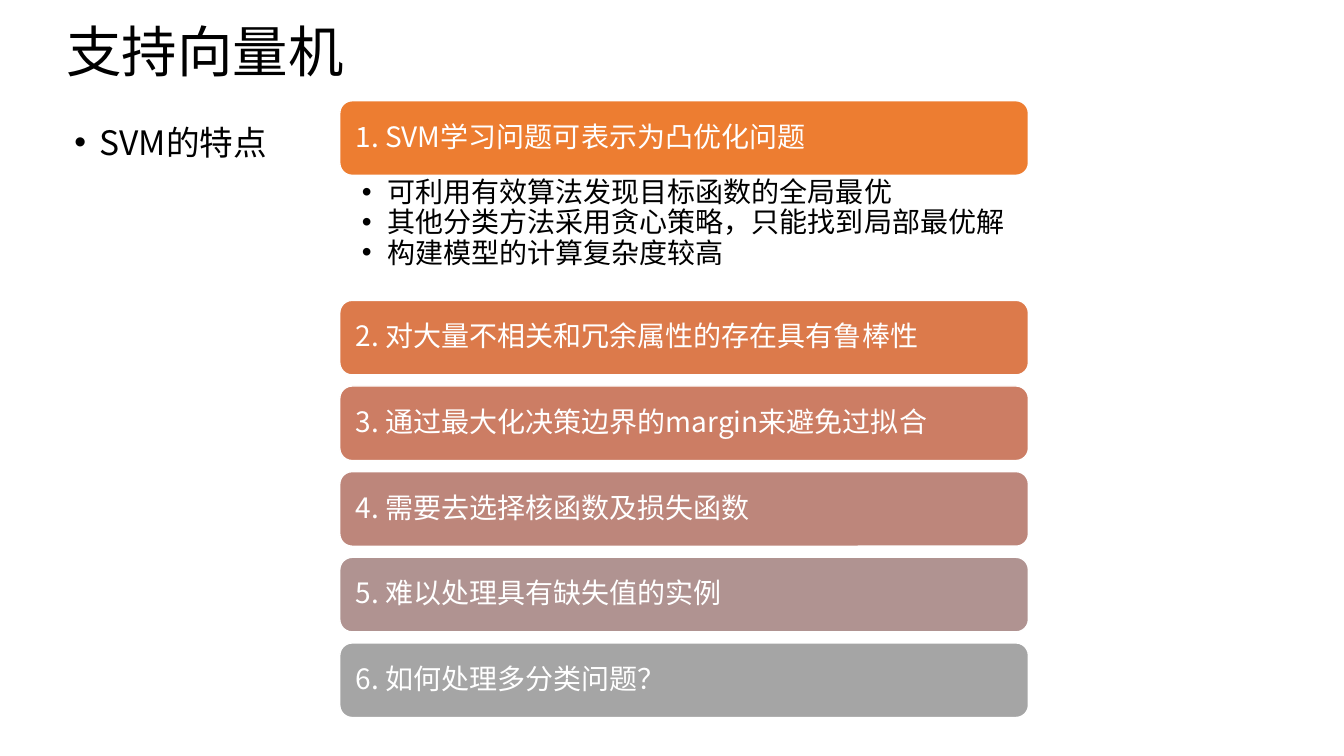
from dataclasses import dataclass

from lxml.etree import SubElement
from pptx import Presentation
from pptx.dml.color import RGBColor
from pptx.enum.shapes import MSO_SHAPE
from pptx.enum.text import MSO_ANCHOR, PP_ALIGN
from pptx.oxml.ns import qn
from pptx.slide import Slide
from pptx.text.text import TextFrame, _Paragraph
from pptx.util import Emu, Inches, Pt

SLIDE_WIDTH, SLIDE_HEIGHT = Inches(13.33), Inches(7.5)
FONT = "Noto Sans CJK SC"
BLACK = RGBColor(0x00, 0x00, 0x00)
WHITE = RGBColor(0xFF, 0xFF, 0xFF)
ORANGE = RGBColor(0xED, 0x7D, 0x31)
RUST = RGBColor(0xDC, 0x7A, 0x4B)
CORAL = RGBColor(0xCC, 0x7D, 0x64)
CLAY = RGBColor(0xBD, 0x86, 0x7B)
MAUVE = RGBColor(0xB0, 0x93, 0x91)
GREY = RGBColor(0xA5, 0xA5, 0xA5)

FEATURE_LEFT, FEATURE_WIDTH = 25.28, 51.24
FIRST_TOP, BAR_HEIGHT, BAR_STEP, DETAIL_HEIGHT = 13.33, 9.87, 11.33, 16.53


@dataclass(frozen=True)
class Area:
    left: float
    top: float
    width: float
    height: float

    def box(self) -> tuple[Emu, Emu, Emu, Emu]:
        return (
            Emu(round(SLIDE_WIDTH * self.left / 100)),
            Emu(round(SLIDE_HEIGHT * self.top / 100)),
            Emu(round(SLIDE_WIDTH * self.width / 100)),
            Emu(round(SLIDE_HEIGHT * self.height / 100)),
        )


@dataclass(frozen=True)
class TextStyle:
    size: float
    color: RGBColor
    line_spacing: float = 0.9
    space_before: float = 0
    bulleted: bool = False
    anchor: MSO_ANCHOR = MSO_ANCHOR.TOP
    insets: tuple[float, float, float, float] = (0.1, 0.05, 0.1, 0.05)


@dataclass(frozen=True)
class Feature:
    heading: str
    fill: RGBColor
    details: tuple[str, ...] = ()


TITLE = TextStyle(39.6, BLACK, anchor=MSO_ANCHOR.MIDDLE)
TOPIC = TextStyle(24, BLACK, line_spacing=1.5, space_before=10, bulleted=True)
HEADING = TextStyle(20, WHITE, anchor=MSO_ANCHOR.MIDDLE, insets=(0.12,) * 4)
DETAIL = TextStyle(20, BLACK, bulleted=True, insets=(0.22, 0.03, 0.16, 0.03))

FEATURES = (
    Feature(
        "1. SVM学习问题可表示为凸优化问题",
        ORANGE,
        (
            "可利用有效算法发现目标函数的全局最优",
            "其他分类方法采用贪心策略，只能找到局部最优解",
            "构建模型的计算复杂度较高",
        ),
    ),
    Feature("2. 对大量不相关和冗余属性的存在具有鲁棒性", RUST),
    Feature("3. 通过最大化决策边界的margin来避免过拟合", CORAL),
    Feature("4. 需要去选择核函数及损失函数", CLAY),
    Feature("5. 难以处理具有缺失值的实例", MAUVE),
    Feature("6. 如何处理多分类问题？", GREY),
)


def add_bullet(paragraph: _Paragraph) -> None:
    properties = paragraph._p.get_or_add_pPr()
    properties.set("marL", str(Inches(0.25)))
    properties.set("indent", str(-Inches(0.25)))
    SubElement(properties, qn("a:buFont")).set("typeface", "Arial")
    SubElement(properties, qn("a:buChar")).set("char", "•")


def write_text(frame: TextFrame, lines: tuple[str, ...], style: TextStyle) -> None:
    frame.word_wrap = True
    frame.vertical_anchor = style.anchor
    (frame.margin_left, frame.margin_top,
     frame.margin_right, frame.margin_bottom) = map(Inches, style.insets)
    for index, line in enumerate(lines):
        paragraph = frame.add_paragraph() if index else frame.paragraphs[0]
        paragraph.alignment = PP_ALIGN.LEFT
        paragraph.line_spacing = style.line_spacing
        paragraph.space_before = Pt(style.space_before)
        if style.bulleted:
            add_bullet(paragraph)
        run = paragraph.add_run()
        run.text = line
        run.font.size = Pt(style.size)
        run.font.name = FONT
        run.font.color.rgb = style.color
        properties = run._r.get_or_add_rPr()
        SubElement(properties, qn("a:ea")).set("typeface", FONT)


def add_text(slide: Slide, area: Area, lines: tuple[str, ...], style: TextStyle) -> None:
    write_text(slide.shapes.add_textbox(*area.box()).text_frame, lines, style)


def add_bar(slide: Slide, area: Area, feature: Feature) -> None:
    bar = slide.shapes.add_shape(MSO_SHAPE.ROUNDED_RECTANGLE, *area.box())
    bar.shadow.inherit = False
    bar.fill.solid()
    bar.fill.fore_color.rgb = feature.fill
    bar.line.color.rgb = WHITE
    bar.line.width = Pt(1)
    write_text(bar.text_frame, (feature.heading,), HEADING)


def add_features(slide: Slide) -> None:
    top = FIRST_TOP
    for feature in FEATURES:
        add_bar(slide, Area(FEATURE_LEFT, top, FEATURE_WIDTH, BAR_HEIGHT), feature)
        if feature.details:
            top += BAR_HEIGHT
            details = Area(FEATURE_LEFT, top, FEATURE_WIDTH, DETAIL_HEIGHT)
            add_text(slide, details, feature.details, DETAIL)
            top += DETAIL_HEIGHT
        else:
            top += BAR_STEP


def main() -> None:
    presentation = Presentation()
    presentation.slide_width = SLIDE_WIDTH
    presentation.slide_height = SLIDE_HEIGHT
    slide = presentation.slides.add_slide(presentation.slide_layouts[6])
    add_text(slide, Area(4.2, 3.33, 90.55, 7.73), ("支持向量机",), TITLE)
    add_text(slide, Area(4.8, 12.8, 84.02, 76.53), ("SVM的特点",), TOPIC)
    add_features(slide)
    presentation.save("out.pptx")


if __name__ == "__main__":
    main()
